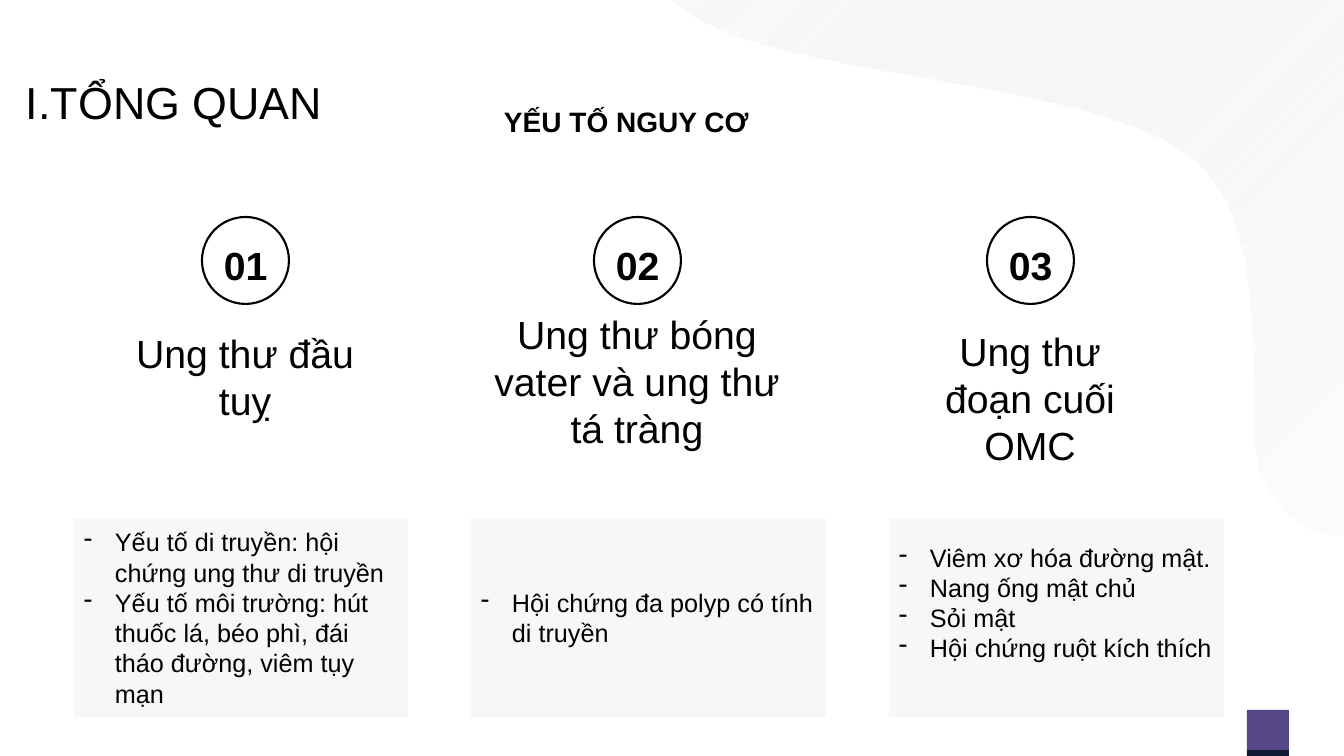
import pptx
import pptx.util
import pptx.dml.color
import pptx.enum.shapes
import pptx.enum.text
import pptx.oxml
import pptx.oxml.ns

PX = 914400 / 100.8
HUES = {"ink": "000000", "violet": "564787", "navy": "101935",
        "card": "E7E6E6", "mist": "D9D9D9", "pale": "F2F2F2"}
RGB = {name: pptx.dml.color.RGBColor.from_string(hue) for name, hue in HUES.items()}
KIND = pptx.enum.shapes.MSO_SHAPE
ALIGN = pptx.enum.text.PP_ALIGN
ANCHOR = pptx.enum.text.MSO_ANCHOR
NS = pptx.oxml.ns.nsdecls("a")


def place(*box):
    return [round(n * PX) for n in box]


def write(shape, lines, size, bold=False, align=ALIGN.LEFT, inset=(10, 5),
          anchor=ANCHOR.TOP, wrap=True, dash=False):
    frame = shape.text_frame
    frame.word_wrap = wrap
    frame.auto_size = pptx.enum.text.MSO_AUTO_SIZE.NONE
    frame.vertical_anchor = anchor
    frame.margin_left, frame.margin_top = place(*inset)
    frame.margin_right, frame.margin_bottom = place(*inset)
    frame.text = "\n".join(lines)
    for para in frame.paragraphs:
        para.alignment = align
        if dash:
            props = para._p.get_or_add_pPr()
            indent = round(31 * PX)
            props.set("marL", str(indent))
            props.set("indent", str(-indent))
            props.append(pptx.oxml.parse_xml(f'<a:buChar {NS} char="-"/>'))
        para.font.name = "Arial"
        para.font.size = pptx.util.Pt(size)
        para.font.bold = bold
        para.font.color.rgb = RGB["ink"]


deck = pptx.Presentation()
deck.slide_width, deck.slide_height = place(1344, 756)
slide = deck.slides.add_slide(deck.slide_layouts[5])
shapes = slide.shapes

# Corner blocks
for top, high, hue in [(710, 40, "violet"), (750, 6, "navy")]:
    block = shapes.add_shape(KIND.RECTANGLE, *place(1247, top, 42, high))
    block.shadow.inherit = False
    block.fill.solid()
    block.fill.fore_color.rgb = RGB[hue]
    block.line.fill.background()

# Wave at top right: each curve has two control points and an end
curves = [((1342, 536), (1339, 536), (1336, 535)),
          ((1310, 534), (1282, 517), (1264, 484)),
          ((1232, 425), (1285, 236), (1191, 158)),
          ((1096, 82), (795, 78), (700, 20)),
          ((692, 15), (685, 11), (679, 6))]
edge = [(1344, -6), (1344, 535)]
for one, two, end in curves:
    start = edge[-1]
    for step in range(1, 25):
        t = step / 24
        u = 1 - t
        edge.append(tuple(u**3 * a + 3 * u*u*t * b + 3 * u*t*t * c + t**3 * d
                          for a, b, c, d in zip(start, one, two, end)))
pen = shapes.build_freeform(*place(666, -6))
pen.add_line_segments([place(*spot) for spot in edge], close=True)
wave = pen.convert_to_shape()
wave.shadow.inherit = False
wave.line.fill.background()
wave.fill.gradient()
wave.fill.gradient_angle = 135
for stop, hue, spot, alpha in zip(wave.fill.gradient_stops, ("mist", "pale"),
                                  (0.1, 1), (10, 50)):
    stop.color.rgb = RGB[hue]
    stop.position = spot
    stop._gs[0].append(pptx.oxml.parse_xml(f'<a:alpha {NS} val="{alpha * 1000}"/>'))

# Headings
title = shapes.title
title.left, title.top, title.width, title.height = place(26, 75, 319, 54)
write(title, ["I.TỔNG QUAN"], 32, inset=(0, 0))
write(shapes.add_textbox(*place(494, 99, 291, 44)), ["YẾU TỐ NGUY CƠ"], 20, bold=True)

# Columns: name and its box, card left and width, bottom inset, risk factors
columns = [
    ("Ung thư đầu tuỵ", (116, 307, 258, 139), 74, 334, 5,
     ["Yếu tố di truyền: hội chứng ung thư di truyền",
      "Yếu tố môi trường: hút thuốc lá, béo phì, đái tháo đường, viêm tụy mạn"]),
    ("Ung thư bóng vater và ung thư tá tràng", (470, 244, 334, 274), 471, 355, 5,
     ["Hội chứng đa polyp có tính di truyền"]),
    ("Ung thư đoạn cuối OMC", (901, 369, 258, 58), 889, 335, 35,
     ["Viêm xơ hóa đường mật.", "Nang ống mật chủ", "Sỏi mật",
      "Hội chứng ruột kích thích"]),
]
for i, (name, box, left, wide, foot, facts) in enumerate(columns):
    x = 202 + round(392.5 * i)
    ring = shapes.add_shape(KIND.OVAL, *place(x, 217, 87, 87))
    ring.shadow.inherit = False
    ring.fill.background()
    ring.line.color.rgb = RGB["ink"]
    ring.line.width = pptx.util.Pt(1.5)
    write(shapes.add_textbox(*place(x + 12, 236, 65, 57)), [f"{i + 1:02}"], 28,
          bold=True, wrap=False)
    write(shapes.add_textbox(*place(*box)), [name], 28, align=ALIGN.CENTER,
          inset=(10, 10), anchor=ANCHOR.MIDDLE)

    card = shapes.add_shape(KIND.RECTANGLE, *place(left, 518, wide, 199))
    card.shadow.inherit = False
    card.line.fill.background()
    card.fill.solid()
    card.fill.fore_color.rgb = RGB["card"]
    tint = card._element.spPr.find(".//" + pptx.oxml.ns.qn("a:srgbClr"))
    tint.append(pptx.oxml.parse_xml(f'<a:alpha {NS} val="29000"/>'))
    write(card, facts, 18, anchor=ANCHOR.MIDDLE, dash=True)
    card.text_frame.margin_bottom = round(foot * PX)

deck.save("out.pptx")
